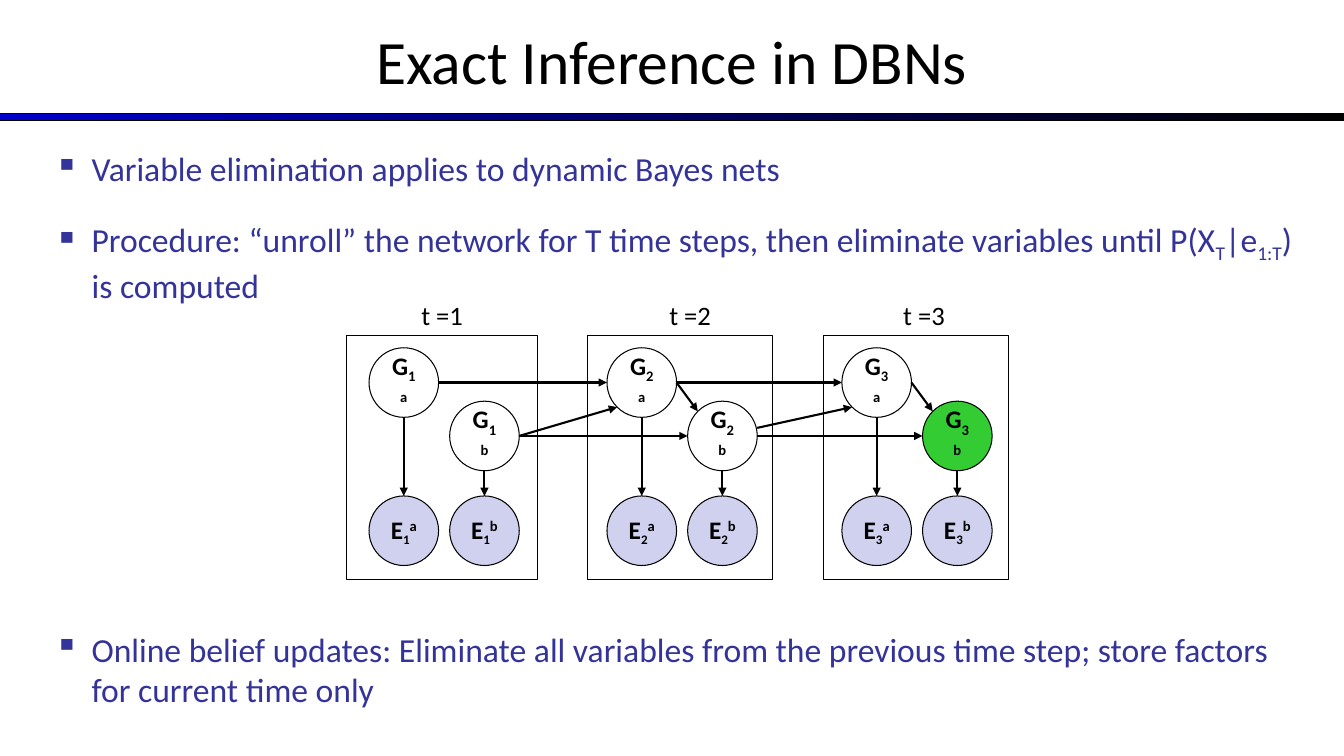
"""Build a slide on exact inference in dynamic Bayes nets."""
from dataclasses import dataclass
from typing import Optional

from lxml.etree import SubElement
from pptx import Presentation
from pptx.dml.color import RGBColor
from pptx.enum.shapes import MSO_CONNECTOR, MSO_SHAPE
from pptx.enum.text import MSO_ANCHOR, MSO_AUTO_SIZE, PP_ALIGN
from pptx.oxml.ns import qn
from pptx.util import Inches, Pt

BLACK = RGBColor(0x00, 0x00, 0x00)
BLUE = RGBColor(0x00, 0x00, 0xCC)
INDIGO = RGBColor(0x33, 0x33, 0x99)
LAVENDER = RGBColor(0xD0, 0xD0, 0xEF)
GREEN = RGBColor(0x33, 0xCC, 0x33)
FONT = "Calibri"
DIAMETER = 0.69
RADIUS = DIAMETER / 2
DIAGONAL = RADIUS * 0.7071
SIDES = {
    "top": (0, -RADIUS),
    "bottom": (0, RADIUS),
    "left": (-RADIUS, 0),
    "right": (RADIUS, 0),
    "top left": (-DIAGONAL, -DIAGONAL),
    "bottom left": (-DIAGONAL, DIAGONAL),
    "upper right": (RADIUS, -0.08),
}


@dataclass(frozen=True)
class Step:
    number: int
    nodes_left: float
    frame_left: float
    frame_width: float
    label_left: float


@dataclass(frozen=True)
class Node:
    letter: str
    chain: str
    offset: float
    top: float
    sub_size: int
    fill: Optional[RGBColor] = None


@dataclass(frozen=True)
class Edge:
    source: str
    source_side: str
    target: str
    target_side: str


@dataclass(frozen=True)
class Bullet:
    spans: list
    space_before: float = 0


STEPS = [
    Step(1, 3.66, 3.44, 1.89, 4.08),
    Step(2, 6.02, 5.83, 1.83, 6.54),
    Step(3, 8.35, 8.17, 1.83, 8.86),
]
NODES = [
    Node("G", "a", 0, 3.45, 18),
    Node("G", "b", 0.8, 3.98, 18),
    Node("E", "a", 0, 4.92, 16, LAVENDER),
    Node("E", "b", 0.8, 4.92, 16, LAVENDER),
]
EDGES = [Edge(f"G{step.number}{chain}", "bottom", f"E{step.number}{chain}", "top")
         for step in STEPS for chain in "ab"]
EDGES += [Edge(f"G{number}{chain}", "right", f"G{number + 1}{chain}", "left")
          for number in (1, 2) for chain in "ab"]
EDGES += [Edge(f"G{number}a", "right", f"G{number}b", "top left") for number in (2, 3)]
EDGES += [
    Edge("G1b", "right", "G2a", "bottom left"),
    Edge("G2b", "upper right", "G3a", "bottom left"),
]
BULLETS = [
    Bullet([("Variable elimination applies to dynamic Bayes nets", 0)]),
    Bullet([
        ("Procedure: “unroll” the network for T time steps, then eliminate variables until P(X", 0),
        ("T", -25), ("|e", 0), ("1:T", -25), (") is computed", 0),
    ], 21.8),
    Bullet([("Online belief updates: Eliminate all variables from the previous time step; "
             "store factors for current time only", 0)], 231),
]


def add_span(para, text: str, *, size: float, color: RGBColor = BLACK,
             bold: bool = False, baseline: int = 0) -> None:
    span = para.add_run()
    span.text = text
    span.font.name = FONT
    span.font.size = Pt(size)
    span.font.bold = bold
    span.font.color.rgb = color
    if baseline:
        span.font._element.set("baseline", str(baseline * 1000))


def add_outline(page, kind: MSO_SHAPE, left: float, top: float, width: float,
                height: float, fill: Optional[RGBColor] = None):
    shape = page.shapes.add_shape(kind, Inches(left), Inches(top), Inches(width), Inches(height))
    shape.shadow.inherit = False
    if fill is None:
        shape.fill.background()
    else:
        shape.fill.solid()
        shape.fill.fore_color.rgb = fill
    shape.line.color.rgb = BLACK
    shape.line.width = Pt(0.75)
    return shape


def add_title(page) -> None:
    title = page.shapes.title
    title.left, title.top = Inches(0), Inches(-0.03)
    title.width, title.height = Inches(13.33), Inches(1.25)
    frame = title.text_frame
    frame.auto_size = MSO_AUTO_SIZE.NONE
    frame.vertical_anchor = MSO_ANCHOR.MIDDLE
    frame.paragraphs[0].alignment = PP_ALIGN.CENTER
    add_span(frame.paragraphs[0], "Exact Inference in DBNs", size=44)


def add_rule(page) -> None:
    rule = add_outline(page, MSO_SHAPE.RECTANGLE, 0, 1.13, 13.33, 0.07)
    rule.fill.gradient()
    rule.fill.gradient_angle = 0
    for stop, color in zip(rule.fill.gradient_stops, (BLUE, BLACK)):
        stop.color.rgb = color


def add_bullets(page) -> None:
    box = page.shapes.add_textbox(Inches(0.44), Inches(1.42), Inches(12.64), Inches(5.28))
    frame = box.text_frame
    frame.word_wrap = True
    for index, bullet in enumerate(BULLETS):
        para = frame.add_paragraph() if index else frame.paragraphs[0]
        properties = para._p.get_or_add_pPr()
        properties.set("marL", str(Inches(0.37)))
        properties.set("indent", str(Inches(-0.37)))
        color = SubElement(properties, qn("a:buClr"))
        SubElement(color, qn("a:srgbClr")).set("val", str(INDIGO))
        SubElement(properties, qn("a:buChar")).set("char", "▪")
        para.space_before = Pt(bullet.space_before)
        for text, baseline in bullet.spans:
            add_span(para, text, size=24, color=INDIGO, baseline=baseline)


def add_frame(page, step: Step) -> None:
    add_outline(page, MSO_SHAPE.RECTANGLE, step.frame_left, 3.33, step.frame_width, 2.42)
    label = page.shapes.add_textbox(Inches(step.label_left), Inches(2.92), Inches(0.62), Inches(0.42))
    label.text_frame.word_wrap = False
    add_span(label.text_frame.paragraphs[0], f"t ={step.number}", size=19)


def add_node(page, step: Step, node: Node) -> tuple[float, float]:
    left = step.nodes_left + node.offset
    is_query = (node.letter, step.number, node.chain) == ("G", 3, "b")
    circle = add_outline(page, MSO_SHAPE.OVAL, left, node.top, DIAMETER, DIAMETER,
                         GREEN if is_query else node.fill)
    frame = circle.text_frame
    frame.word_wrap = True
    frame.vertical_anchor = MSO_ANCHOR.MIDDLE
    para = frame.paragraphs[0]
    para.alignment = PP_ALIGN.CENTER
    add_span(para, node.letter, size=18, bold=True)
    add_span(para, str(step.number), size=node.sub_size, bold=True, baseline=-25)
    add_span(para, node.chain, size=18, bold=True, baseline=30)
    return left + RADIUS, node.top + RADIUS


def add_arrow(page, edge: Edge, centers: dict[str, tuple[float, float]]) -> None:
    ends = [Inches(center + shift)
            for name, side in ((edge.source, edge.source_side), (edge.target, edge.target_side))
            for center, shift in zip(centers[name], SIDES[side])]
    arrow = page.shapes.add_connector(MSO_CONNECTOR.STRAIGHT, *ends)
    arrow.line.color.rgb = BLACK
    arrow.line.width = Pt(1.5)
    SubElement(arrow.line._get_or_add_ln(), qn("a:tailEnd")).set("type", "triangle")
    SubElement(arrow._element.spPr, qn("a:effectLst"))


def main() -> None:
    deck = Presentation()
    deck.slide_width, deck.slide_height = Inches(13.33), Inches(7.5)
    page = deck.slides.add_slide(deck.slide_layouts[5])
    add_rule(page)
    add_title(page)
    add_bullets(page)
    centers = {}
    for step in STEPS:
        add_frame(page, step)
        for node in NODES:
            centers[f"{node.letter}{step.number}{node.chain}"] = add_node(page, step, node)
    for edge in EDGES:
        add_arrow(page, edge, centers)
    deck.save("out.pptx")


if __name__ == "__main__":
    main()
